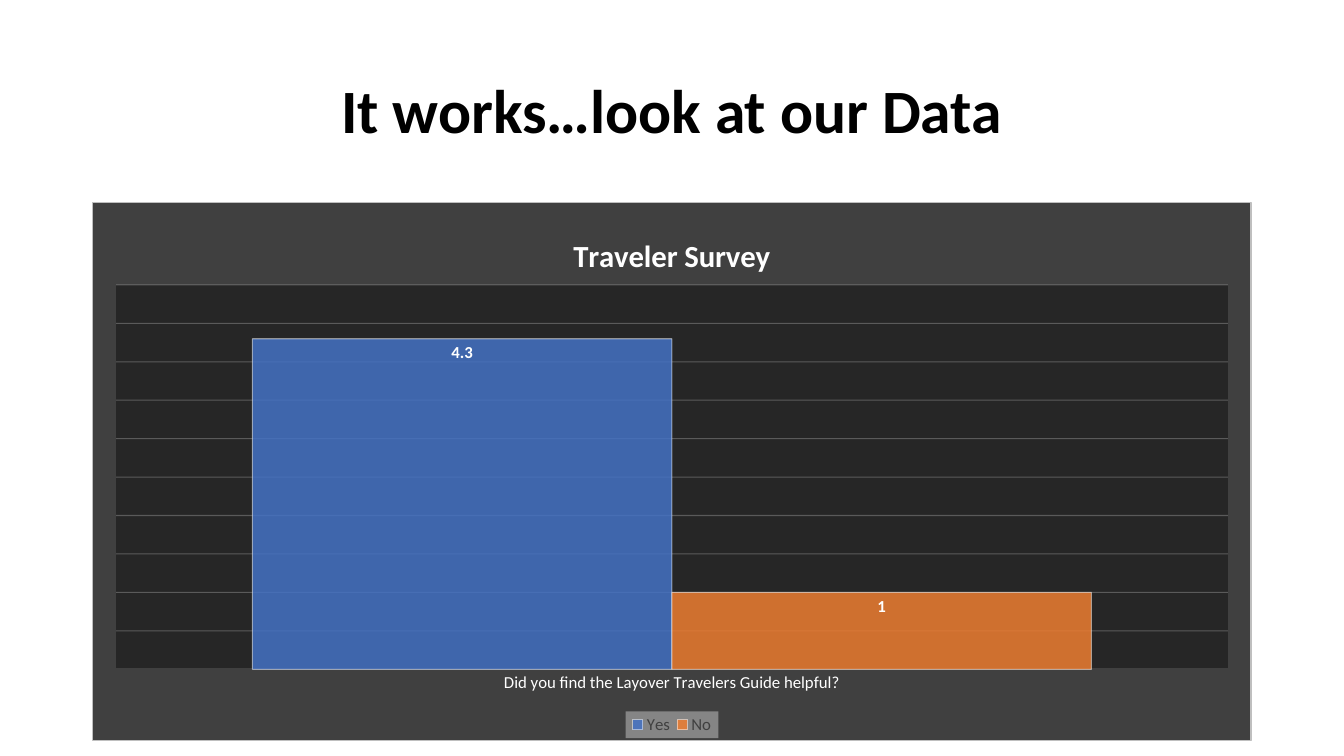
from dataclasses import dataclass

import lxml.etree
import pptx
import pptx.chart.data
import pptx.dml.color
import pptx.enum.chart
import pptx.enum.text
import pptx.oxml
import pptx.oxml.ns
import pptx.util

Cm, Pt = pptx.util.Cm, pptx.util.Pt
qn = pptx.oxml.ns.qn
FACE = "Calibri"
COLORS = {"ink": "000000", "white": "FFFFFF", "slate": "404040", "edge": "BFBFBF",
          "pale": "F2F2F2", "blue": "4472C4", "orange": "ED7D31"}


@dataclass
class Answer:
    name: str
    value: float
    color: str


@dataclass
class Panel:
    tag: str
    after: str
    color: str
    alpha: int
    edge: str = ""


@dataclass
class Place:
    tag: str
    index: int
    box: dict[str, float]


ANSWERS = [Answer("Yes", 4.3, "blue"), Answer("No", 1, "orange")]
PANELS = [
    Panel("c:chartSpace", "c:chart", "ink", 75, "edge"),
    Panel("c:plotArea", "*[last()]", "ink", 40),
    Panel("c:legend", "c:overlay", "pale", 39),
]
PLACES = [
    Place("c:title", 1, {"x": 0.41, "y": 0.05}),
    Place("c:plotArea", 0, {"x": 0.02, "y": 0.154, "w": 0.96, "h": 0.714}),
    Place("c:legend", 1, {"x": 0.46, "y": 0.946, "w": 0.08, "h": 0.05}),
]


def rgb(key: str) -> pptx.dml.color.RGBColor:
    return pptx.dml.color.RGBColor.from_string(COLORS[key])


def style(font, size: float, color: str, bold: bool = False) -> None:
    font.name, font.size, font.bold = FACE, Pt(size), bold
    font.color.rgb = rgb(color)


def write(frame, text: str, *, size: float, color: str, bold: bool = False,
          space: float | None = None) -> None:
    para = frame.paragraphs[0]
    para.alignment = pptx.enum.text.PP_ALIGN.CENTER
    para.line_spacing = space
    run = para.add_run()
    run.text = text
    style(run.font, size, color, bold)


def fade(node, alpha: int) -> None:
    for color in node.iter(qn("a:srgbClr")):
        lxml.etree.SubElement(color, qn("a:alpha"), val=str(alpha * 1000))


def stroke(line, color: str, width: float) -> None:
    line.color.rgb = rgb(color)
    line.width = Pt(width)


def paint(root, panel: Panel) -> None:
    def solid(color: str, alpha: int) -> str:
        return (f'<a:solidFill><a:srgbClr val="{COLORS[color]}">'
                f'<a:alpha val="{alpha * 1000}"/></a:srgbClr></a:solidFill>')

    line = (f'<a:ln w="{Pt(0.75)}">{solid(panel.edge, 100)}</a:ln>' if panel.edge
            else "<a:ln><a:noFill/></a:ln>")
    node = root.xpath(f"descendant-or-self::{panel.tag}/{panel.after}")[0]
    node.addnext(pptx.oxml.parse_xml(
        f'<c:spPr {pptx.oxml.ns.nsdecls("c", "a")}>'
        f'{solid(panel.color, panel.alpha)}{line}</c:spPr>'))


def put(root, place: Place) -> None:
    node = root.xpath(f".//{place.tag}")[0]
    for old in node.findall(qn("c:layout")):
        node.remove(old)
    frame = lxml.etree.Element(qn("c:layout"))
    manual = lxml.etree.SubElement(frame, qn("c:manualLayout"))
    if node.tag == qn("c:plotArea"):
        lxml.etree.SubElement(manual, qn("c:layoutTarget"), val="inner")
    for side in "xy":
        lxml.etree.SubElement(manual, qn(f"c:{side}Mode"), val="edge")
    for key, value in place.box.items():
        lxml.etree.SubElement(manual, qn(f"c:{key}"), val=str(value))
    node.insert(place.index, frame)


def add_title(slide) -> None:
    frame = slide.shapes.add_textbox(Cm(2.33), Cm(1.01), Cm(29.21), Cm(3.68)).text_frame
    frame.word_wrap = True
    frame.vertical_anchor = pptx.enum.text.MSO_ANCHOR.MIDDLE
    write(frame, "It works…look at our Data", size=44, color="ink", bold=True, space=0.9)


def add_survey(slide) -> None:
    enum = pptx.enum.chart
    data = pptx.chart.data.CategoryChartData()
    data.categories = ["Did you find the Layover Travelers Guide helpful?"]
    for answer in ANSWERS:
        data.add_series(answer.name, [answer.value])
    chart = slide.shapes.add_chart(enum.XL_CHART_TYPE.COLUMN_CLUSTERED, Cm(2.33), Cm(5.08),
                                   Cm(29.21), Cm(13.59), data).chart
    style(chart.font, 10, "ink")
    chart.has_title = True
    write(chart.chart_title.text_frame, "Traveler Survey", size=22, color="white", bold=True)

    # Axes
    axis = chart.category_axis
    axis.major_tick_mark = enum.XL_TICK_MARK.NONE
    style(axis.tick_labels.font, 12, "white")
    stroke(axis.format.line, "slate", 1.5)
    scale = chart.value_axis
    scale.visible = False
    scale.minimum_scale, scale.maximum_scale, scale.major_unit = 0, 5, 0.5
    stroke(scale.major_gridlines.format.line, "pale", 0.75)
    fade(chart.element.xpath(".//c:majorGridlines")[0], 25)

    # Legend
    chart.has_legend = True
    chart.legend.position = enum.XL_LEGEND_POSITION.BOTTOM
    chart.legend.include_in_layout = False
    style(chart.legend.font, 12, "slate")

    # Bars
    plot = chart.plots[0]
    plot.gap_width, plot.overlap, plot.vary_by_categories = 65, 0, False
    for bar, answer in zip(plot.series, ANSWERS):
        look = bar.format
        look.fill.solid()
        look.fill.fore_color.rgb = rgb(answer.color)
        stroke(look.line, "white", 0.75)
        shape = chart.element.xpath(".//c:ser/c:spPr")[ANSWERS.index(answer)]
        fade(shape.find(qn("a:solidFill")), 85)
        fade(shape.find(qn("a:ln")), 50)
        labels = bar.data_labels
        labels.show_value = True
        labels.position = enum.XL_LABEL_POSITION.INSIDE_END
        style(labels.font, 12, "white", True)

    # Panels and layout
    for panel in PANELS:
        paint(chart.element, panel)
    for place in PLACES:
        put(chart.element, place)


def main() -> None:
    deck = pptx.Presentation()
    deck.slide_width, deck.slide_height = Cm(33.87), Cm(19.05)
    slide = deck.slides.add_slide(deck.slide_layouts[6])
    add_title(slide)
    add_survey(slide)
    deck.save("out.pptx")


if __name__ == "__main__":
    main()
